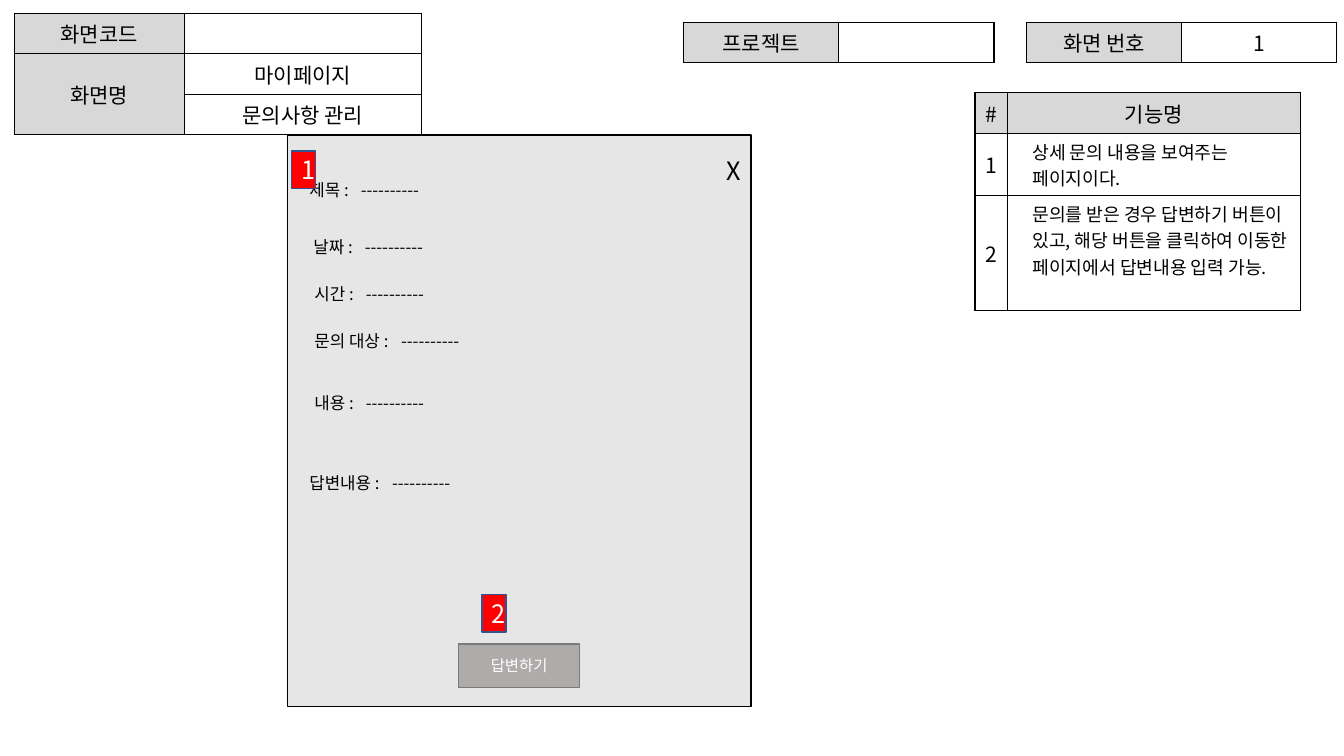
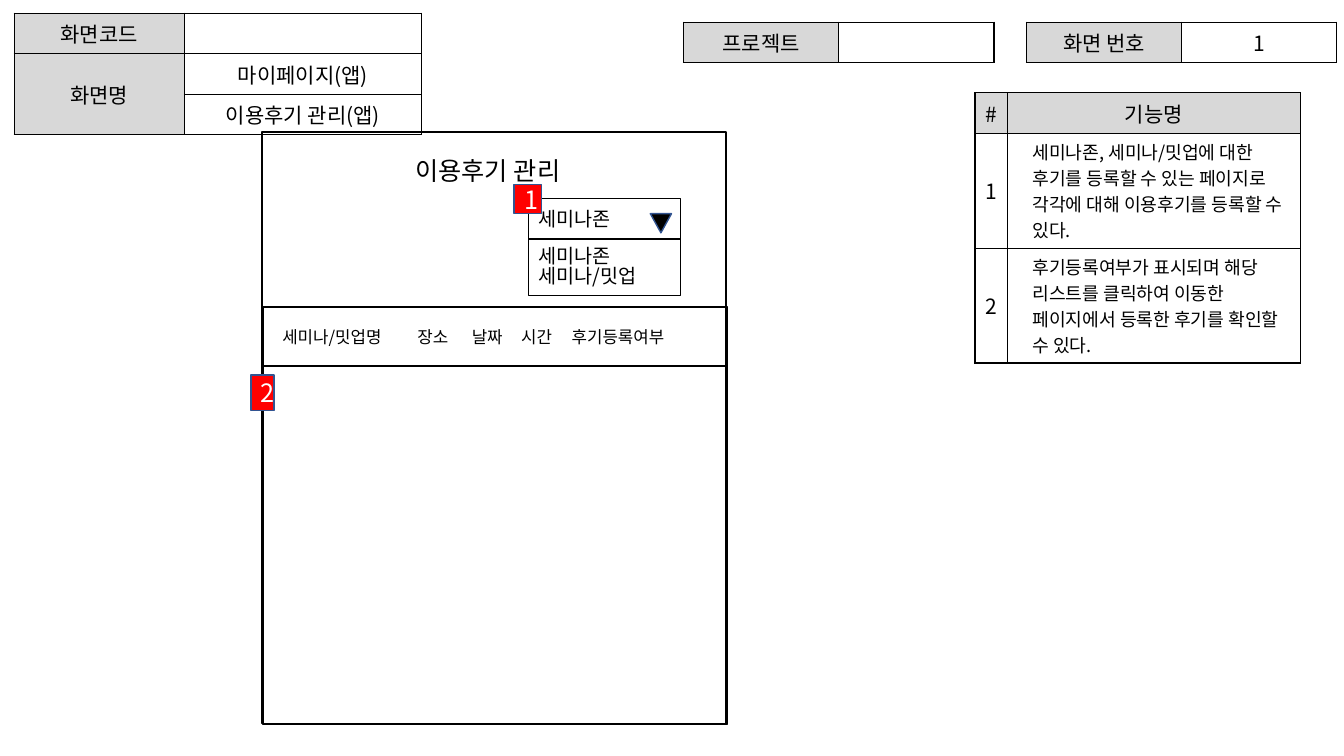
from lxml.etree import SubElement
from pptx import Presentation
from pptx.dml.color import RGBColor
from pptx.enum.shapes import MSO_SHAPE as Shape
from pptx.enum.text import MSO_ANCHOR as Anchor, MSO_AUTO_SIZE as AutoSize, PP_ALIGN as Align
from pptx.oxml.ns import qn
from pptx.util import Inches, Pt

FONT = "Noto Sans CJK KR"
BLACK = RGBColor(0x00, 0x00, 0x00)
WHITE = RGBColor(0xFF, 0xFF, 0xFF)
HEADER_GRAY = RGBColor(0xD8, 0xD8, 0xD8)
PANEL_GRAY = RGBColor(0xE7, 0xE6, 0xE6)
BUTTON_GRAY = RGBColor(0xAF, 0xAB, 0xAB)
BUTTON_EDGE = RGBColor(0x7A, 0x7A, 0x7A)
MARKER_RED = RGBColor(0xFF, 0x00, 0x00)
MARKER_EDGE = RGBColor(0x32, 0x54, 0x91)

LINE_HEIGHT = 0.26
HEAD_ROW = 0.4

INQUIRY = {
    "names": ("마이페이지", "문의사항 관리"),
    "functions": [
        ("상세 문의 내용을 보여주는 페이지이다.", 2),
        ("문의를 받은 경우 답변하기 버튼이 있고, 해당 버튼을 클릭하여 "
         "이동한 페이지에서 답변내용 입력 가능.", 4),
    ],
    "markers": [(2.89, 1.5, 0.24, 0.37), (4.78, 5.9, 0.24, 0.37)],
}
REVIEW = {
    "names": ("마이페이지(앱)", "이용후기 관리(앱)"),
    "functions": [
        ("세미나존, 세미나/밋업에 대한 후기를 등록할 수 있는 페이지로 "
         "각각에 대해 이용후기를 등록할 수 있다.", 4),
        ("후기등록여부가 표시되며 해당 리스트를 클릭하여 이동한 "
         "페이지에서 등록한 후기를 확인할 수 있다.", 4),
    ],
    "markers": [(5.1, 1.83, 0.27, 0.29), (2.49, 3.72, 0.23, 0.35)],
}
# label, left, top, where the value starts
INQUIRY_FIELDS = [
    ("제목", 2.97, 1.73, 0.51),
    ("날짜", 3.01, 2.3, 0.51),
    ("시간", 3.02, 2.77, 0.51),
    ("문의 대상", 3.02, 3.23, 0.86),
    ("내용", 3.02, 3.85, 0.51),
    ("답변내용", 2.97, 4.64, 0.82),
]
REVIEW_COLUMNS = ["세미나/밋업명", "장소", "날짜", "시간", "후기등록여부"]
REVIEW_STOPS = [1.34, 1.88, 2.37, 2.87]
REVIEW_KINDS = ["세미나존", "세미나/밋업"]


def inches(values):
    return [Inches(value) for value in values]


def write(frame, lines, size, color=BLACK, align=Align.LEFT, stops=(), spacing=None):
    """Fill a text frame with one paragraph per line; stops are tab positions."""
    frame.text = "\n".join(lines)
    for paragraph in frame.paragraphs:
        paragraph.alignment = align
        paragraph.line_spacing = spacing
        font = paragraph.font
        font.size, font.name = Pt(size), FONT
        font.color.rgb = color
        properties = paragraph._p.get_or_add_pPr()
        defaults = properties.find(qn("a:defRPr"))
        SubElement(defaults, qn("a:ea"), typeface=FONT)
        if stops:
            tabs = SubElement(properties, qn("a:tabLst"))
            defaults.addprevious(tabs)
            for stop in stops:
                SubElement(tabs, qn("a:tab"), pos=str(Inches(stop)), algn="l")


def add_box(slide, at, fill=None, edge=BLACK, kind=Shape.RECTANGLE):
    box = slide.shapes.add_shape(kind, *inches(at))
    box.shadow.inherit = False
    if fill is None:
        box.fill.background()
    else:
        box.fill.solid()
        box.fill.fore_color.rgb = fill
    box.line.color.rgb = edge
    box.line.width = Pt(1)
    box.text_frame.vertical_anchor = Anchor.MIDDLE
    return box


def add_label(slide, at, text, size, stops=()):
    frame = slide.shapes.add_textbox(*inches(at)).text_frame
    frame.word_wrap = True
    write(frame, [text], size, stops=stops)


def add_border(cell):
    properties = cell._tc.get_or_add_tcPr()
    for side in ("a:lnL", "a:lnR", "a:lnT", "a:lnB"):
        line = SubElement(properties, qn(side), w=str(Pt(1)))
        SubElement(SubElement(line, qn("a:solidFill")), qn("a:srgbClr"), val=str(BLACK))


def add_grid(slide, left, top, widths, heights, rows, is_header):
    """Add a bordered table; is_header(row, column) picks the gray cells."""
    at = inches((left, top, sum(widths), sum(heights)))
    table = slide.shapes.add_table(len(rows), len(widths), *at).table
    table.first_row = table.horz_banding = False
    for column, width in zip(table.columns, widths):
        column.width = Inches(width)
    for r, (row, height) in enumerate(zip(rows, heights)):
        table.rows[r].height = Inches(height)
        for c, text in enumerate(row):
            cell = table.cell(r, c)
            add_border(cell)
            cell.fill.solid()
            cell.fill.fore_color.rgb = HEADER_GRAY if is_header(r, c) else WHITE
            cell.vertical_anchor = Anchor.MIDDLE
            write(cell.text_frame, [text], 15, align=Align.CENTER)
            if not text:  # keeps an empty cell from stretching its row
                cell.margin_top = cell.margin_bottom = 0
    return table


def first_column(row, column):
    return column == 0


def top_row(row, column):
    return row == 0


def add_screen(prs, layout, screen):
    """Add a slide with the tables that every screen description carries."""
    slide = prs.slides.add_slide(prs.slide_layouts[layout])
    page, detail = screen["names"]
    names = add_grid(slide, 0.14, 0.13, (1.69, 2.35), [HEAD_ROW] * 3,
                     [("화면코드", ""), ("화면명", page), ("", detail)], first_column)
    names.cell(1, 0).merge(names.cell(2, 0))
    for left, row in ((10.18, ("화면 번호", "1")), (6.78, ("프로젝트", ""))):
        add_grid(slide, left, 0.22, (1.54, 1.54), [HEAD_ROW], [row], first_column)

    functions = screen["functions"]
    rows = [("#", "기능명")]
    rows += [(str(n), text) for n, (text, _) in enumerate(functions, 1)]
    heights = [HEAD_ROW] + [lines * LINE_HEIGHT + 0.1 for _, lines in functions]
    table = add_grid(slide, 9.67, 0.92, (0.32, 2.91), heights, rows, top_row)
    for n, (text, _) in enumerate(functions, 1):
        cell = table.cell(n, 1)
        cell.margin_left = Inches(0.25)
        cell.vertical_anchor = Anchor.TOP
        write(cell.text_frame, [text], 13)
    return slide


def add_markers(slide, screen):
    for number, at in enumerate(screen["markers"], 1):
        marker = add_box(slide, at, MARKER_RED, MARKER_EDGE)
        write(marker.text_frame, [str(number)], 18, WHITE, Align.CENTER)


def add_inquiry(prs):
    slide = add_screen(prs, 6, INQUIRY)
    add_box(slide, (2.85, 1.34, 4.6, 5.67), PANEL_GRAY)
    for label, left, top, value_start in INQUIRY_FIELDS:
        add_label(slide, (left, top, 2.17, 0.39), f"{label} :\t----------", 12, [value_start])
    answer = add_box(slide, (4.55, 6.39, 1.2, 0.43), BUTTON_GRAY, BUTTON_EDGE)
    write(answer.text_frame, ["답변하기"], 11, WHITE, Align.CENTER)
    add_label(slide, (7.11, 1.49, 0.25, 0.52), "X", 18)
    add_markers(slide, INQUIRY)


def add_review(prs):
    slide = add_screen(prs, 5, REVIEW)
    add_box(slide, (2.6, 1.31, 4.6, 5.87))
    title = slide.shapes.title
    title.left, title.top, title.width, title.height = inches((4.02, 1.49, 2.34, 0.4))
    title.text_frame.auto_size = AutoSize.NONE
    title.text_frame.vertical_anchor = Anchor.TOP
    write(title.text_frame, ["이용후기 관리"], 18)

    chosen = add_box(slide, (5.24, 1.97, 1.51, 0.4))
    write(chosen.text_frame, REVIEW_KINDS[:1], 14)
    arrow = add_box(slide, (6.45, 2.12, 0.21, 0.19), BLACK, MARKER_EDGE, Shape.ISOSCELES_TRIANGLE)
    arrow.rotation = 180
    choices = add_box(slide, (5.24, 2.37, 1.51, 0.56))
    write(choices.text_frame, REVIEW_KINDS, 14, spacing=0.85)

    add_box(slide, (2.61, 3.04, 4.6, 4.15))
    heading = add_box(slide, (2.61, 3.05, 4.6, 0.58))
    heading.text_frame.margin_left = Inches(0.19)
    write(heading.text_frame, ["\t".join(REVIEW_COLUMNS)], 12, stops=REVIEW_STOPS)
    add_markers(slide, REVIEW)


def main():
    prs = Presentation()
    prs.slide_width, prs.slide_height = inches((13.33, 7.5))
    add_inquiry(prs)
    add_review(prs)
    prs.save("out.pptx")


if __name__ == "__main__":
    main()
